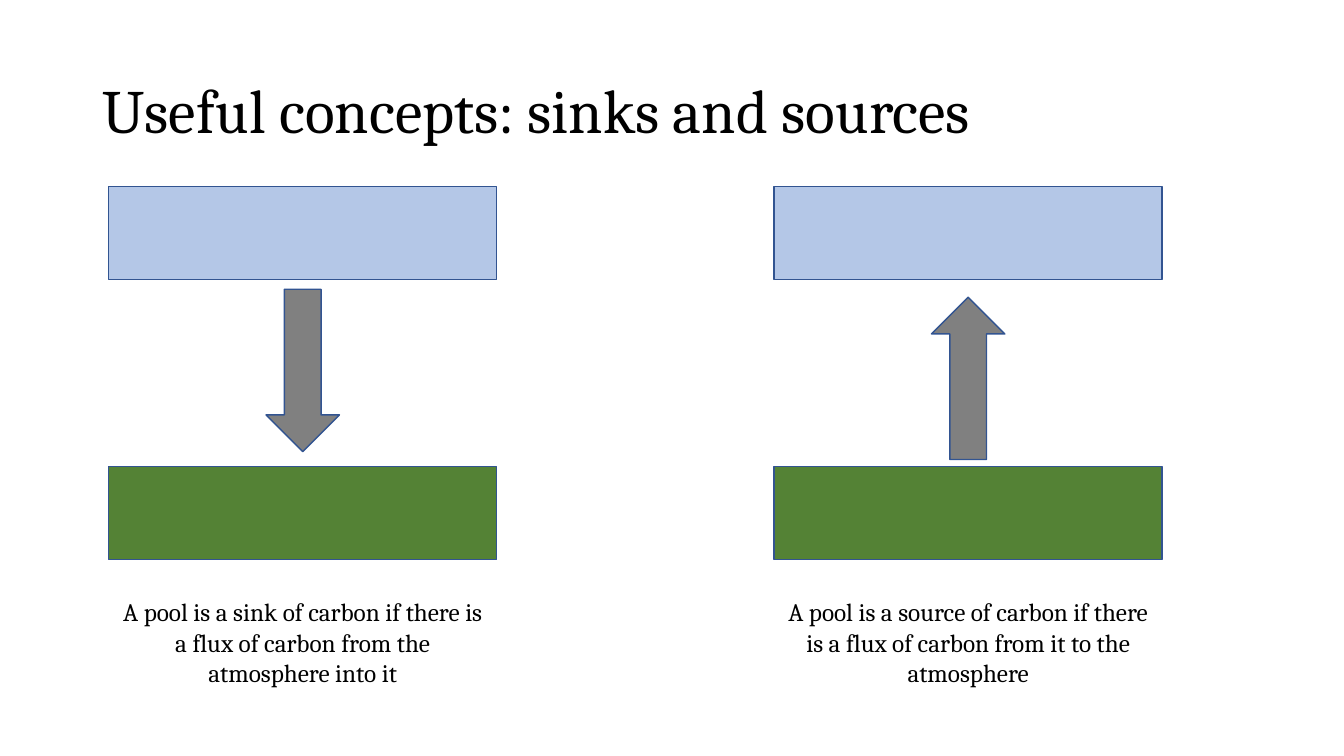
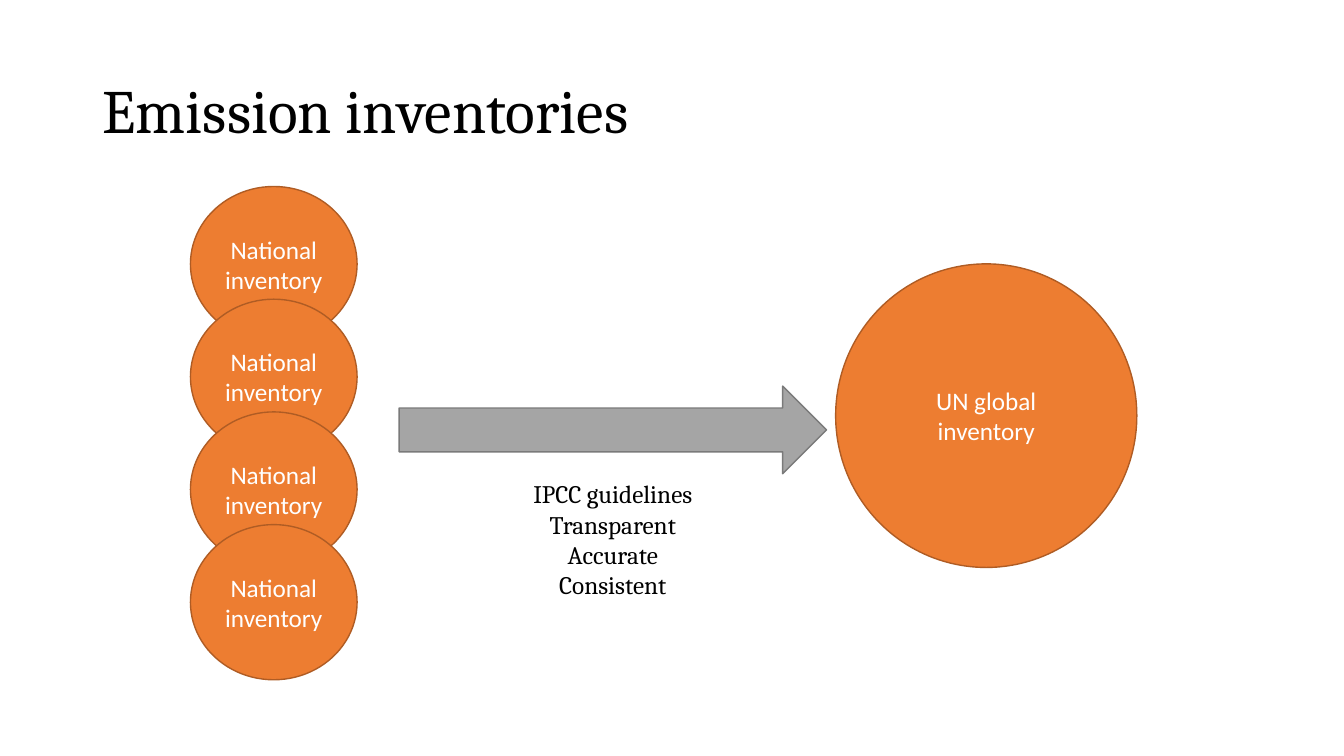
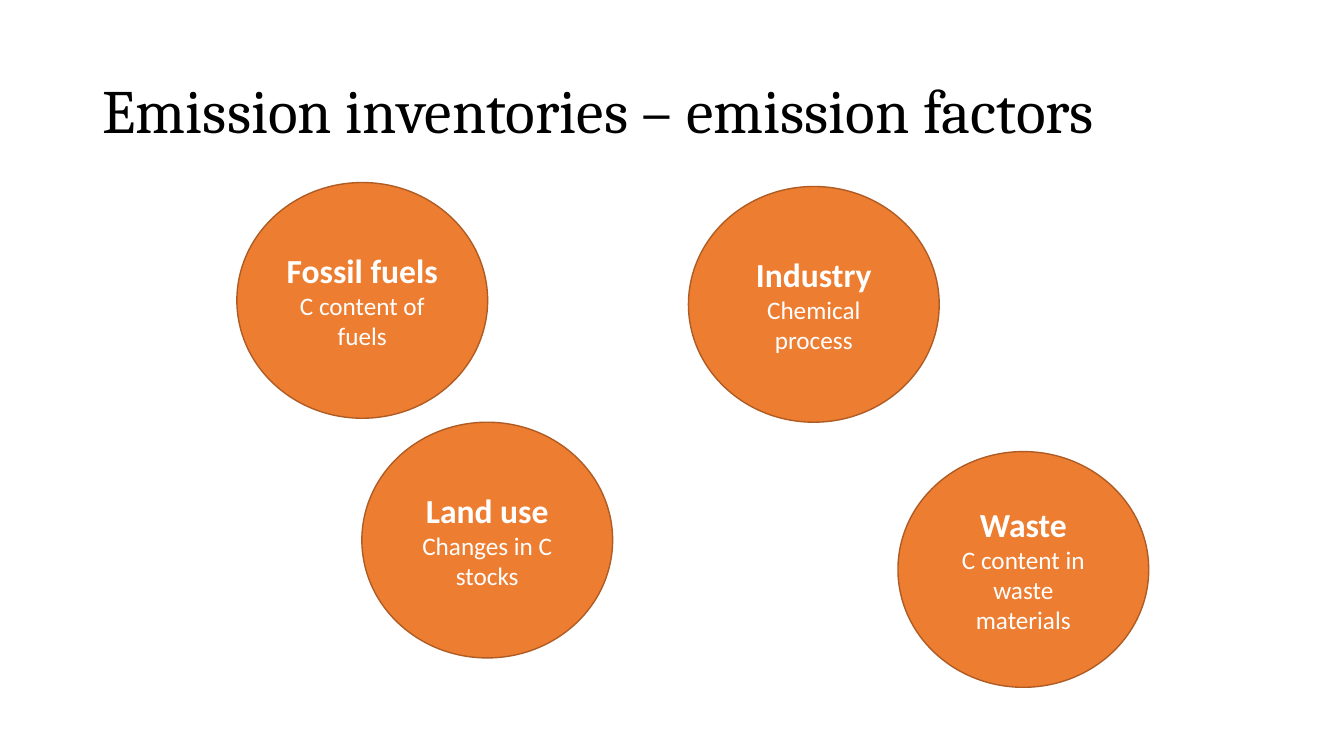
"""Build three slides on carbon pools and emission inventories."""
import pptx
import pptx.dml.color
import pptx.enum.shapes
import pptx.enum.text
import pptx.util

Cm = pptx.util.Cm
Pt = pptx.util.Pt
Color = pptx.dml.color.RGBColor
Kind = pptx.enum.shapes.MSO_SHAPE
Align = pptx.enum.text.PP_ALIGN
Anchor = pptx.enum.text.MSO_ANCHOR

BLACK = Color(0x00, 0x00, 0x00)
WHITE = Color(0xFF, 0xFF, 0xFF)
SKY = Color(0xB4, 0xC7, 0xE7)
LAND = Color(0x54, 0x82, 0x35)
GREY = Color(0x80, 0x80, 0x80)
NAVY = Color(0x32, 0x54, 0x91)
ORANGE = Color(0xED, 0x7D, 0x31)
RUST = Color(0xAF, 0x5C, 0x24)
SILVER = Color(0xA5, 0xA5, 0xA5)
STEEL = Color(0x7A, 0x7A, 0x7A)

TITLE = {"name": "Cambria", "size": Pt(44), "bold": False}
NOTE = {"name": "Cambria", "size": Pt(18), "bold": False}
LABEL = {"name": "Calibri", "size": Pt(18), "bold": False}
HEAD = {"name": "Calibri", "size": Pt(24), "bold": True}


def style(par, form, color, align):
    par.alignment = align
    for name, value in form.items():
        setattr(par.font, name, value)
    par.font.color.rgb = color


def write(frame, lines, color):
    for index, (text, form) in enumerate(lines):
        par = frame.add_paragraph() if index else frame.paragraphs[0]
        par.text = text
        style(par, form, color, Align.CENTER)


def add_slide(deck, text):
    slide = deck.slides.add_slide(deck.slide_layouts.get_by_name("Title Only"))
    title = slide.shapes.title
    title.left, title.top = Cm(2.33), Cm(1.01)
    title.width, title.height = Cm(29.21), Cm(3.68)
    frame = title.text_frame
    frame.text = text
    frame.vertical_anchor = Anchor.MIDDLE
    frame.auto_size = pptx.enum.text.MSO_AUTO_SIZE.NONE
    par = frame.paragraphs[0]
    par.line_spacing = 0.9
    style(par, TITLE, BLACK, Align.LEFT)
    return slide


def add_form(slide, kind, box, fill, line):
    shape = slide.shapes.add_shape(kind, *map(Cm, box))
    shape.shadow.inherit = False
    shape.fill.solid()
    shape.fill.fore_color.rgb = fill
    shape.line.color.rgb = line
    shape.line.width = Pt(1)
    return shape


def add_disc(slide, box, lines):
    frame = add_form(slide, Kind.OVAL, box, ORANGE, RUST).text_frame
    frame.word_wrap = True
    frame.vertical_anchor = Anchor.MIDDLE
    write(frame, lines, WHITE)


def add_note(slide, box, texts, wrap=True):
    frame = slide.shapes.add_textbox(*map(Cm, box)).text_frame
    frame.word_wrap = wrap
    write(frame, [(text, NOTE) for text in texts], BLACK)


def add_flux(slide, left, kind, top, text):
    width, high = 9.78, 2.34
    thick = 1.85
    add_form(slide, Kind.RECTANGLE, (left, 4.7, width, high), SKY, NAVY)
    add_form(slide, Kind.RECTANGLE, (left, 11.76, width, high), LAND, NAVY)
    middle = left + (width - thick) / 2
    add_form(slide, kind, (middle, top, thick, 4.09), GREY, NAVY)
    add_note(slide, (left, 14.91, width, 2.57), [text])


def show_pools(deck):
    slide = add_slide(deck, "Useful concepts: sinks and sources")
    add_flux(slide, 2.74, Kind.DOWN_ARROW, 7.29,
             "A pool is a sink of carbon if there is a flux of carbon "
             "from the atmosphere into it")
    add_flux(slide, 19.51, Kind.UP_ARROW, 7.49,
             "A pool is a source of carbon if there is a flux of carbon "
             "from it to the atmosphere")


def show_stock(deck):
    slide = add_slide(deck, "Emission inventories")
    for row in range(4):
        add_disc(slide, (4.8, 4.7 + row * 2.84, 4.2, 3.91),
                 [("National inventory", LABEL)])
    add_form(slide, Kind.RIGHT_ARROW, (10.06, 9.73, 10.77, 2.21),
             SILVER, STEEL)
    add_disc(slide, (21.06, 6.65, 7.59, 7.65),
             [("UN global inventory", LABEL)])
    add_note(slide, (12.93, 11.94, 5.03, 3.33),
             ["IPCC guidelines", "Transparent", "Accurate", "Consistent"],
             wrap=False)


def show_factors(deck):
    slide = add_slide(deck, "Emission inventories – emission factors")
    sectors = [
        (5.97, 4.6, "Fossil fuels", "C content of fuels"),
        (17.35, 4.7, "Industry", "Chemical process"),
        (9.12, 10.64, "Land use", "Changes in C stocks"),
        (22.63, 11.38, "Waste", "C content in waste materials"),
    ]
    for left, top, name, factor in sectors:
        add_disc(slide, (left, top, 6.32, 5.94),
                 [(name, HEAD), (factor, LABEL)])


def main():
    deck = pptx.Presentation()
    deck.slide_width, deck.slide_height = Cm(33.87), Cm(19.05)
    show_pools(deck)
    show_stock(deck)
    show_factors(deck)
    deck.save("out.pptx")


if __name__ == "__main__":
    main()
